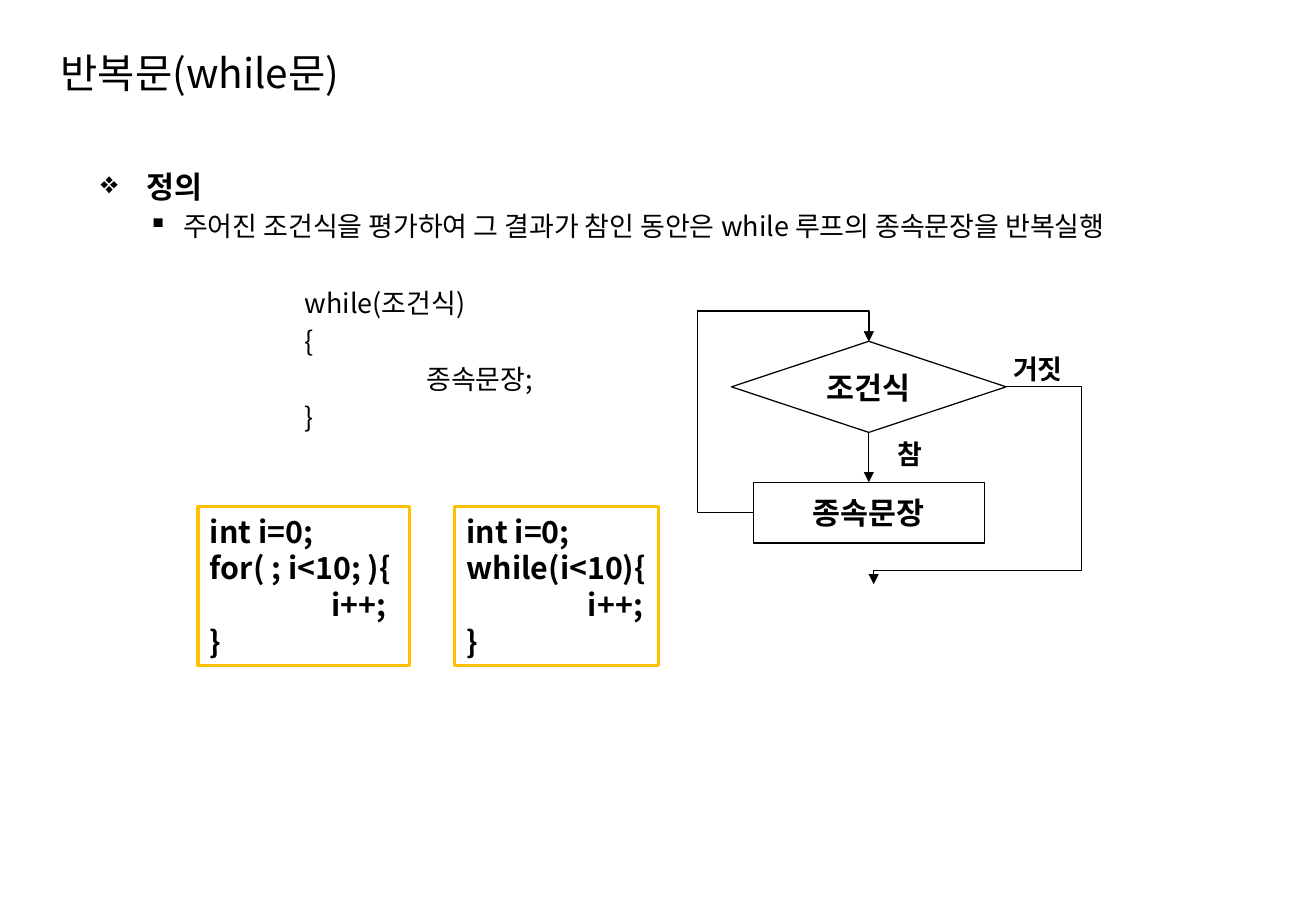
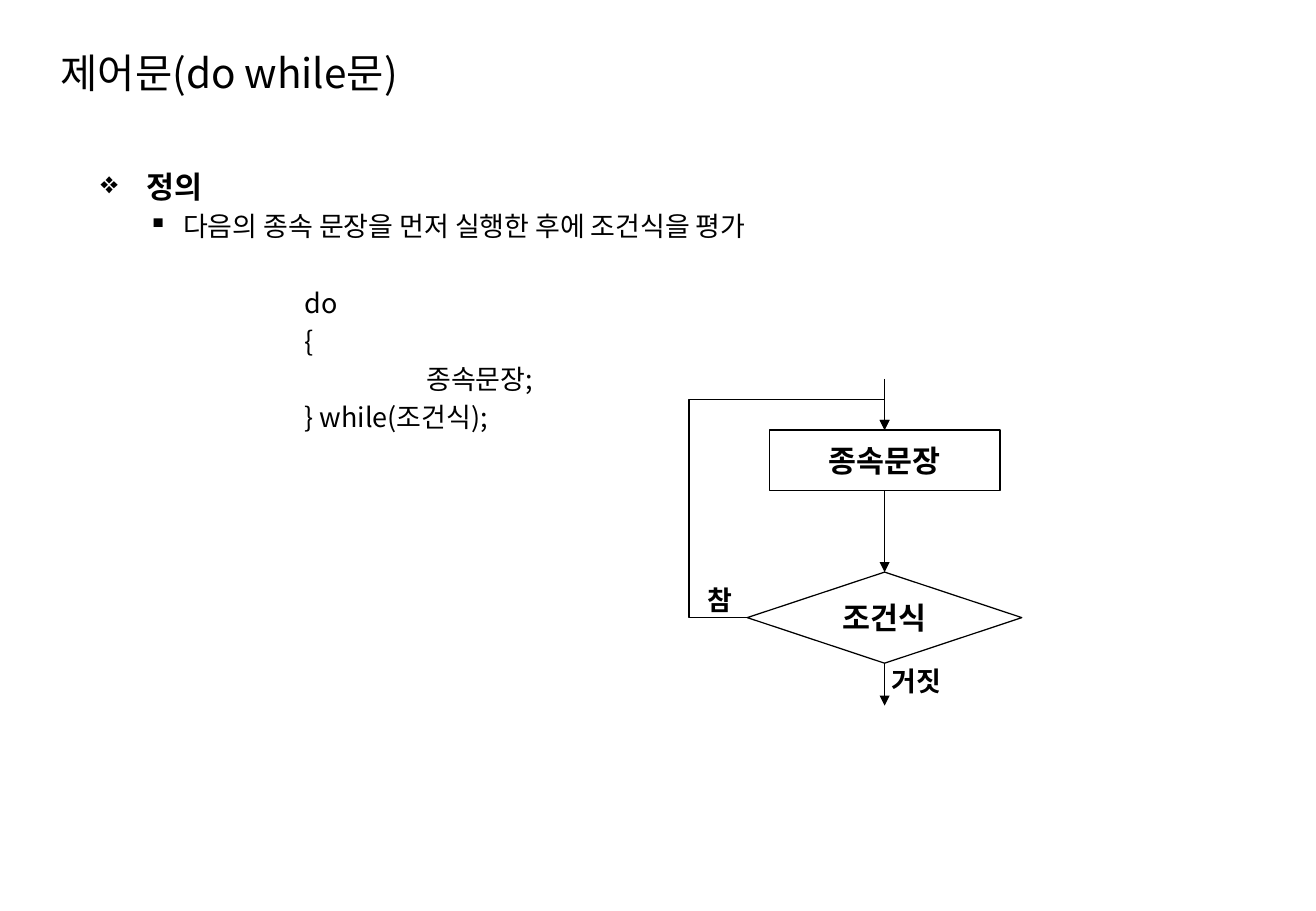
from dataclasses import dataclass

from lxml.etree import SubElement
from pptx import Presentation
from pptx.dml.color import RGBColor
from pptx.enum.shapes import MSO_CONNECTOR, MSO_SHAPE
from pptx.enum.text import MSO_ANCHOR, PP_ALIGN
from pptx.oxml.ns import qn
from pptx.util import Inches, Pt

CELL = Inches(0.1)
TOP, LEFT, BOTTOM = 0, 1, 2


@dataclass(frozen=True)
class Theme:
    ink: RGBColor = RGBColor(0, 0, 0)
    paper: RGBColor = RGBColor(255, 255, 255)
    accent: RGBColor = RGBColor(0xFF, 0xC0, 0)
    font: str = "Noto Sans CJK KR"
    chart_font: str = "DejaVu Sans"
    title: int = 24
    strong: int = 18
    body: int = 16
    leading: float = 1.21
    gap: float = 0.2
    thin: float = 0.75
    frame: float = 2


THEME = Theme()


@dataclass(frozen=True)
class Box:
    """A rectangle measured in grid cells."""
    x: float
    y: float
    w: float
    h: float

    def area(self, x, y, w, h):
        return Box(self.x + x, self.y + y, w, h)

    def point(self, x, y):
        return round((self.x + x) * CELL), round((self.y + y) * CELL)

    @property
    def emu(self):
        return [round(v * CELL) for v in (self.x, self.y, self.w, self.h)]


TITLE = Box(4, 3.2, 62.6, 5.4)
BODY = Box(7.3, 13.3, 96.5, 55.8)
WHILE_FLOW = Box(57.4, 25.6, 31.6, 22.5)
DO_FLOW = Box(56.7, 31.2, 27.4, 26.9)
EXAMPLES = Box(16.3, 41.7, 37.9, 13.1)


def apply(target, **values):
    for name, value in values.items():
        setattr(target, name, value)


def write(p, text, size, bold=False, font=THEME.font, align=PP_ALIGN.LEFT,
          before=0, margin=0, hang=0, bullet=None):
    pPr = p._p.get_or_add_pPr()
    pPr.set("marL", str(Inches(margin)))
    pPr.set("indent", str(-Inches(hang)))
    if bullet:
        SubElement(pPr, qn("a:buChar")).set("char", bullet)
    apply(p, alignment=align, line_spacing=Pt(size * THEME.leading))
    if before:
        p.space_before = Pt(before)
    r = p.add_run()
    r.text = text
    r.font.color.rgb = THEME.ink
    apply(r.font, size=Pt(size), bold=bold, name=font)
    SubElement(r._r.get_or_add_rPr(), qn("a:ea")).set("typeface", font)


def add_lines(tf, lines):
    """Write one paragraph for each dict of write() values."""
    for i, line in enumerate(lines):
        write(tf.paragraphs[0] if i == 0 else tf.add_paragraph(), **line)


def add_text(s, box, lines, wrap=True, anchor=MSO_ANCHOR.TOP):
    tf = s.shapes.add_textbox(*box.emu).text_frame
    apply(tf, word_wrap=wrap, vertical_anchor=anchor)
    add_lines(tf, lines)


def add_node(s, box, kind, lines, fill=None, line=THEME.ink,
             width=THEME.thin, anchor=MSO_ANCHOR.MIDDLE):
    sp = s.shapes.add_shape(kind, *box.emu)
    sp.shadow.inherit = False
    if fill is None:
        sp.fill.background()
    else:
        sp.fill.solid()
        sp.fill.fore_color.rgb = fill
    sp.line.color.rgb = line
    sp.line.width = Pt(width)
    apply(sp.text_frame, word_wrap=False, vertical_anchor=anchor)
    add_lines(sp.text_frame, lines)
    return sp


def style_arrow(sp):
    sp.line.color.rgb = THEME.ink
    sp.line.width = Pt(THEME.thin)
    SubElement(sp.line._get_or_add_ln(), qn("a:tailEnd")).set("type", "triangle")


def add_arrow(s, start, end, src=None, dst=None, kind=MSO_CONNECTOR.STRAIGHT):
    """src and dst are (shape, side) pairs to join to."""
    c = s.shapes.add_connector(kind, *start, *end)
    if src:
        c.begin_connect(*src)
    if dst:
        c.end_connect(*dst)
    style_arrow(c)
    SubElement(c._element.spPr, qn("a:effectLst"))
    return c


def add_loop_back(s, region, src, dst, join_row):
    """Arrow from src's left side, along the region's left edge, to dst's top."""
    x0, y0 = src.left, src.top + src.height // 2
    x1, y1 = dst.left + dst.width // 2, dst.top
    edge, join = region.point(0, join_row)
    c = add_arrow(s, (x0, y0), (x1, y1), (src, LEFT), (dst, TOP),
                  MSO_CONNECTOR.ELBOW)
    xfrm = c._element.spPr.find(qn("a:xfrm"))
    xfrm.attrib.pop("flipV", None)
    xfrm.set("rot", "10800000")
    xfrm.set("flipH", "1")
    geom = c._element.spPr.find(qn("a:prstGeom"))
    geom.set("prst", "bentConnector4")
    guides = geom.find(qn("a:avLst"))
    if guides is None:
        guides = SubElement(geom, qn("a:avLst"))
    shares = (edge - x0) / (x1 - x0), (y0 - join) / (y0 - y1)
    for name, share in zip(("adj1", "adj2"), shares):
        gd = SubElement(guides, qn("a:gd"))
        gd.set("name", name)
        gd.set("fmla", f"val {round(share * 100000)}")


def flow_text(text, size):
    return [dict(text=text, size=size, bold=True, font=THEME.chart_font,
                 align=PP_ALIGN.CENTER)]


def add_step(s, region, axis, row):
    return add_node(s, region.area(axis - 9.5, row, 19, 5),
                    MSO_SHAPE.FLOWCHART_PROCESS, flow_text("종속문장", THEME.strong))


def add_test(s, region, axis, row):
    return add_node(s, region.area(axis - 11.3, row, 22.6, 7.5),
                    MSO_SHAPE.FLOWCHART_DECISION, flow_text("조건식", THEME.strong))


def add_branches(s, region, true_at, false_at):
    for text, at, width in (("참", true_at, 4.2), ("거짓", false_at, 6.4)):
        add_text(s, region.area(*at, width, 3.7), flow_text(text, THEME.body),
                 wrap=False)


def while_flow(s, region):
    axis, test_row, step_row = 14.1, 2.5, 14.1
    step = add_step(s, region, axis, step_row)
    test = add_test(s, region, axis, test_row)
    top = region.point(axis, test_row)
    add_arrow(s, region.point(axis, 0), top, dst=(test, TOP))
    add_arrow(s, top, top, (test, BOTTOM), (step, TOP))
    add_loop_back(s, region, step, test, 0)
    side, exit_row, exit_col = test_row + 3.75, 21.4, 14.5
    corners = [(axis + 11.3, side), (region.w, side), (region.w, exit_row),
               (exit_col, exit_row), (exit_col, region.h)]
    start, *rest = [region.point(*corner) for corner in corners]
    fb = s.shapes.build_freeform(*start)
    fb.add_line_segments(rest, close=False)
    sp = fb.convert_to_shape()
    sp.shadow.inherit = False
    sp.fill.background()
    style_arrow(sp)
    add_branches(s, region, (15.4, 9.9), (24.8, 2.9))


def do_flow(s, region):
    axis, step_row, test_row = 16.1, 4.2, 15.9
    step = add_step(s, region, axis, step_row)
    test = add_test(s, region, axis, test_row)
    top = region.point(axis, step_row)
    add_arrow(s, top, top, (step, BOTTOM), (test, TOP))
    add_arrow(s, region.point(axis, 0), top, dst=(step, TOP))
    add_loop_back(s, region, test, step, 1.7)
    add_arrow(s, top, region.point(axis, region.h), src=(test, BOTTOM))
    add_branches(s, region, (0.4, 16.3), (15.5, 23))


def add_examples(s, region):
    heads = (("for( ; i<10; ){", 0, 17.4), ("while(i<10){", 21.1, 16.8))
    for head, col, width in heads:
        code = (("int i=0;", 0), (head, 0), ("i++;", 1), ("}", 0))
        lines = [dict(text=text, size=THEME.strong, bold=True, margin=margin)
                 for text, margin in code]
        add_node(s, region.area(col, 0, width, region.h), MSO_SHAPE.RECTANGLE,
                 lines, THEME.paper, THEME.accent, THEME.frame, MSO_ANCHOR.TOP)


def add_definition(s, region, meaning, code):
    """Heading, one bullet, and syntax given as (text, depth) pairs."""
    gap = THEME.body * THEME.gap
    blank_line = THEME.body * THEME.leading + gap
    lines = [dict(text="정의", size=THEME.strong, bold=True, margin=0.38,
                  hang=0.38, bullet="❖"),
             dict(text=meaning, size=THEME.body, before=gap, margin=0.68,
                  hang=0.29, bullet="▪")]
    for i, (text, depth) in enumerate(code):
        lines.append(dict(text=text, size=THEME.body, margin=1.68 + depth,
                          before=gap if i else gap + blank_line))
    add_text(s, region, lines)


def add_statement_slide(prs, title, meaning, code):
    s = prs.slides.add_slide(prs.slide_layouts[6])
    add_text(s, TITLE, [dict(text=title, size=THEME.title)],
             anchor=MSO_ANCHOR.MIDDLE)
    add_definition(s, BODY, meaning, code)
    return s


def main():
    prs = Presentation()
    apply(prs, slide_width=Inches(10.83), slide_height=Inches(7.5))
    s = add_statement_slide(
        prs, "반복문(while문)",
        "주어진 조건식을 평가하여 그 결과가 참인 동안은 while 루프의 종속문장을 반복실행",
        [("while(조건식)", 0), ("{", 0), ("종속문장;", 1), ("}", 0)])
    while_flow(s, WHILE_FLOW)
    add_examples(s, EXAMPLES)
    s = add_statement_slide(
        prs, "제어문(do while문)",
        "다음의 종속 문장을 먼저 실행한 후에 조건식을 평가",
        [("do", 0), ("{", 0), ("종속문장;", 1), ("} while(조건식);", 0)])
    do_flow(s, DO_FLOW)
    prs.save("out.pptx")


if __name__ == "__main__":
    main()
